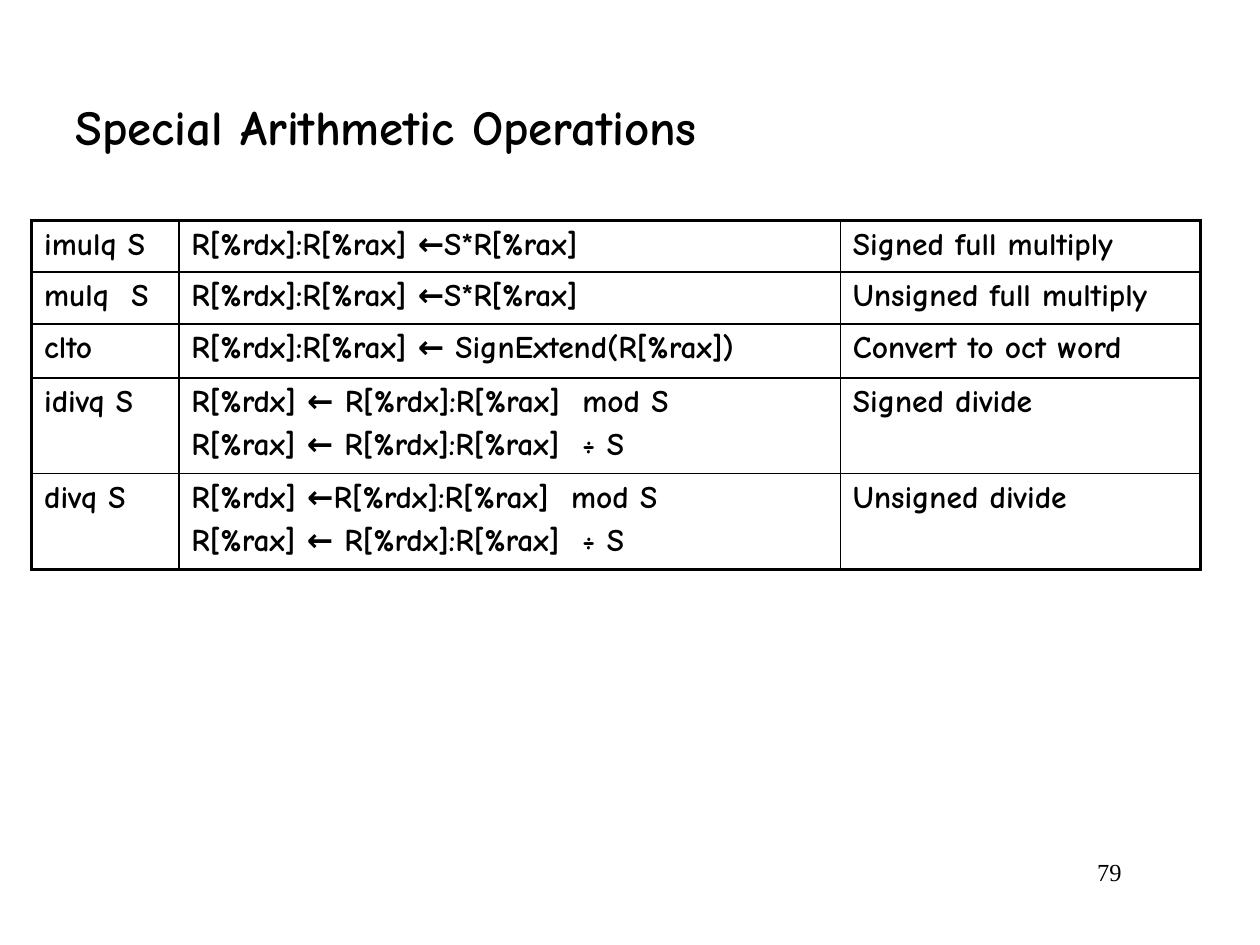
from lxml import etree
from pptx import Presentation
from pptx.dml.color import RGBColor
from pptx.enum.text import MSO_ANCHOR, PP_ALIGN
from pptx.oxml.ns import qn
from pptx.util import Inches, Pt

BLACK = RGBColor(0, 0, 0)
SANS, SERIF = "Comic Neue", "Times New Roman"
LEFT, RIGHT = PP_ALIGN.LEFT, PP_ALIGN.RIGHT
TOP, MIDDLE = MSO_ANCHOR.TOP, MSO_ANCHOR.MIDDLE
THIN, THICK = Pt(1), Pt(2.25)

TITLE = "Special Arithmetic Operations"
PAGE = "79"
OPS = [
    ("imulq S", ["R[%rdx]:R[%rax] ←S*R[%rax]"], "Signed full multiply"),
    ("mulq  S", ["R[%rdx]:R[%rax] ←S*R[%rax]"], "Unsigned full multiply"),
    ("clto", ["R[%rdx]:R[%rax] ← SignExtend(R[%rax])"], "Convert to oct word"),
    ("idivq S", ["R[%rdx] ← R[%rdx]:R[%rax]  mod S",
                 "R[%rax] ← R[%rdx]:R[%rax]  ÷ S"], "Signed divide"),
    ("divq S", ["R[%rdx] ←R[%rdx]:R[%rax]  mod S",
                "R[%rax] ← R[%rdx]:R[%rax]  ÷ S"], "Unsigned divide"),
]
WIDTHS = [1.17, 5.25, 2.86]
HEIGHTS = [0.41, 0.41, 0.43, 0.76, 0.76]


def write(frame, lines, size=18, font=SANS, bold=True, align=LEFT, anchor=TOP):
    frame.word_wrap = True
    frame.vertical_anchor = anchor
    for i, line in enumerate(lines):
        para = frame.paragraphs[0] if i == 0 else frame.add_paragraph()
        para.alignment = align
        if i:
            para.space_before = Pt(0.2 * size)
        run = para.add_run()
        run.text = line
        run.font.name, run.font.size, run.font.bold = font, Pt(size), bold
        run.font.color.rgb = BLACK


def add_text(slide, box, text, **style):
    shape = slide.shapes.add_textbox(*map(Inches, box))
    write(shape.text_frame, [text], **style)


def rule(cell, outer):
    """Draw the four borders of a cell, thick on the sides named in outer."""
    props = cell._tc.get_or_add_tcPr()
    for side in "LRTB":
        line = etree.SubElement(props, qn(f"a:ln{side}"))
        line.set("w", str(THICK if side in outer else THIN))
        fill = etree.SubElement(line, qn("a:solidFill"))
        etree.SubElement(fill, qn("a:srgbClr")).set("val", str(BLACK))


def add_ops(slide, left, top):
    rows, cols = len(HEIGHTS), len(WIDTHS)
    size = Inches(sum(WIDTHS)), Inches(sum(HEIGHTS))
    table = slide.shapes.add_table(rows, cols, Inches(left), Inches(top), *size).table
    table.first_row = table.horz_banding = False
    for col, width in zip(table.columns, WIDTHS):
        col.width = Inches(width)
    for r, (name, effect, note) in enumerate(OPS):
        table.rows[r].height = Inches(HEIGHTS[r])
        for c, lines in enumerate(([name], effect, [note])):
            cell = table.cell(r, c)
            edges = {"L": c == 0, "R": c == cols - 1, "T": r == 0, "B": r == rows - 1}
            rule(cell, [side for side, edge in edges.items() if edge])
            cell.fill.background()
            write(cell.text_frame, lines)


def main():
    deck = Presentation()
    deck.slide_width, deck.slide_height = Inches(10), Inches(7.5)
    slide = deck.slides.add_slide(deck.slide_layouts[6])
    add_text(slide, (7.58, 6.75, 1.42, 0.5), PAGE,
             size=14, font=SERIF, bold=False, align=RIGHT)
    add_text(slide, (0.5, 0.5, 8.83, 1), TITLE, size=28, anchor=MIDDLE)
    add_ops(slide, 0.25, 1.75)
    deck.save("out.pptx")


if __name__ == "__main__":
    main()
